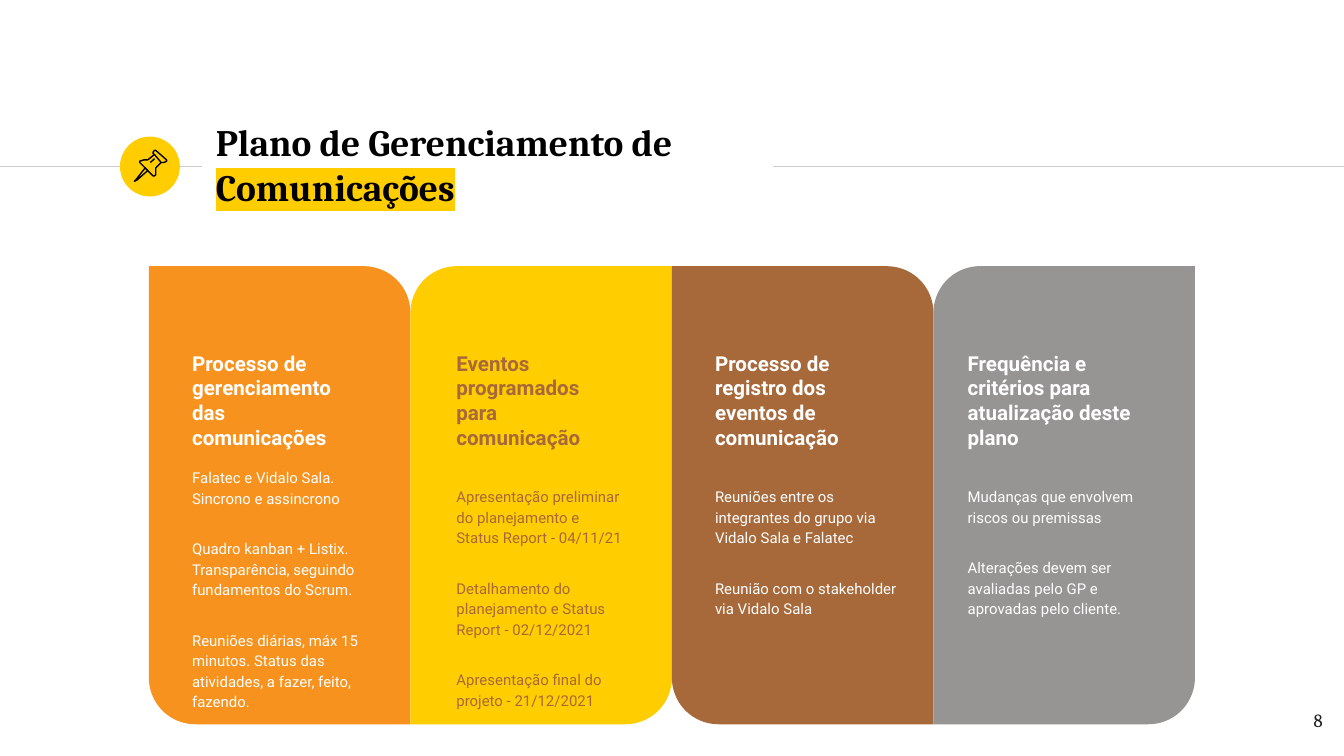
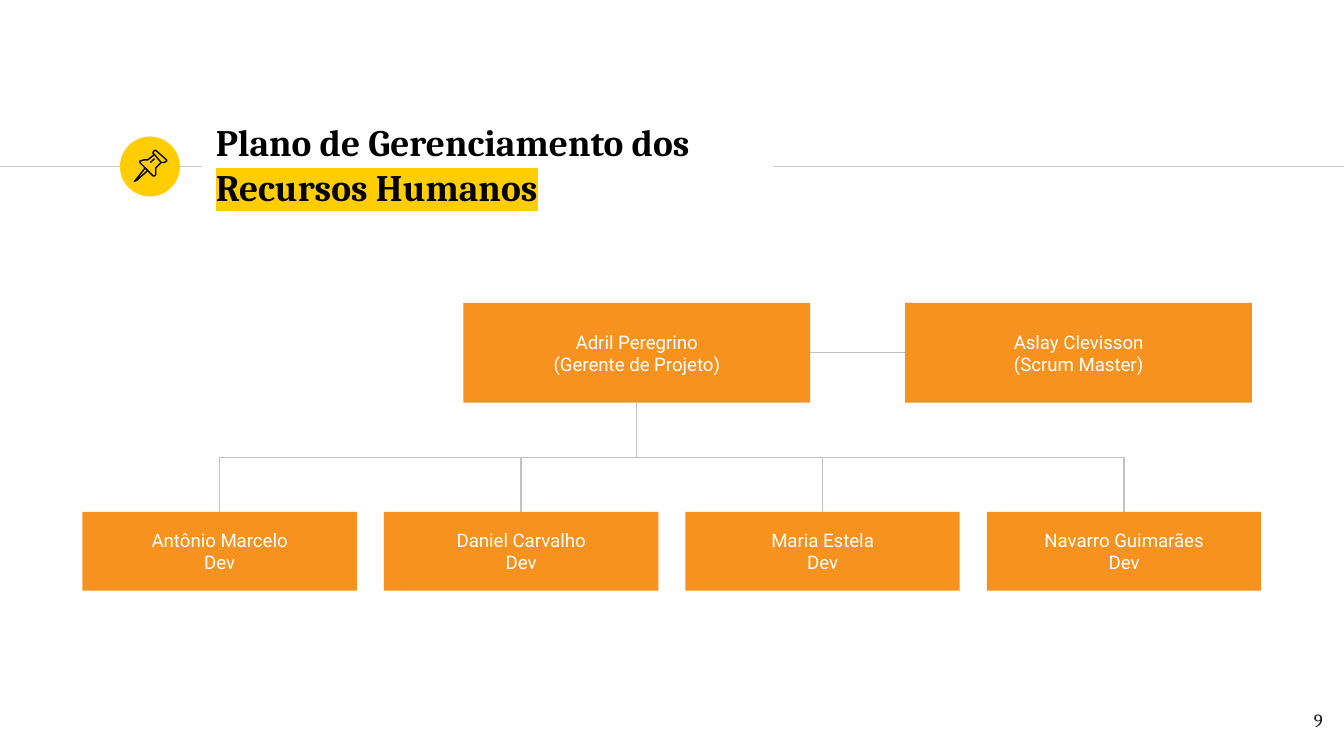
from typing import NamedTuple

from lxml import etree
from pptx import Presentation
from pptx.dml.color import RGBColor
from pptx.enum.shapes import MSO_CONNECTOR, MSO_SHAPE
from pptx.enum.text import MSO_ANCHOR, PP_ALIGN
from pptx.oxml.ns import qn
from pptx.util import Pt

ELLIPSE = MSO_SHAPE.OVAL
RECTANGLE = MSO_SHAPE.RECTANGLE
DIAGONAL_ROUND = MSO_SHAPE.ROUND_2_DIAG_RECTANGLE
STRAIGHT, ELBOW = MSO_CONNECTOR.STRAIGHT, MSO_CONNECTOR.ELBOW
LEFT, CENTER, RIGHT = PP_ALIGN.LEFT, PP_ALIGN.CENTER, PP_ALIGN.RIGHT
TOP, MIDDLE = MSO_ANCHOR.TOP, MSO_ANCHOR.MIDDLE

SERIF, SANS = "Cambria", "Roboto"
BLACK, INK, WHITE = "000000", "1D1D1B", "FFFFFF"
YELLOW, ORANGE, BROWN, GRAY = "FFCD00", "F6921D", "A7693A", "979593"
RULE_GRAY, LINK_GRAY = "CCCCCC", "C2C2C2"
INSET = 7.2


class Box(NamedTuple):
    left: float
    top: float
    width: float
    height: float

    @property
    def center(self):
        return self.left + self.width / 2

    @property
    def middle(self):
        return self.top + self.height / 2

    @property
    def right(self):
        return self.left + self.width

    @property
    def bottom(self):
        return self.top + self.height

    def points(self):
        return [Pt(length) for length in self]


SLIDE = Box(0, 0, 720, 405)
BADGE = Box(64.3, 73.2, 32.1, 32.1)
TITLE = Box(108.5, 70.6, 305.5, 34.6)
PAGE_NUMBER = Box(672.5, 373.7, 43.2, 31)
COLUMNS = Box(79.8, 142.6, 560.4, 245.4)
ORG_CHART = Box(44.2, 162.3, 631.5, 154.2)

# Pushpin outlines in tenths of a point, from the corner of the badge
PIN_PARTS = [
    ([(135, 168), (84, 233), (77, 240), (91, 233), (149, 182)], True),
    ([(185, 96), (221, 139), (235, 139), (250, 132), (250, 125), (192, 74),
      (185, 74), (178, 82), (178, 92)], True),
    ([(185, 96), (149, 125), (127, 125), (106, 132), (106, 139), (178, 211),
      (185, 211), (192, 204), (192, 168), (221, 139)], False),
    ([(163, 139), (185, 118)], False),
]


class Column(NamedTuple):
    fill: str
    color: str
    indent: float
    text_width: float
    body_top: float
    heading: str
    items: list


COMMUNICATION_COLUMNS = [
    Column(ORANGE, WHITE, 16, 104.4, 100, "Processo de gerenciamento das comunicações", [
        "Falatec e Vidalo Sala. Sincrono e assincrono",
        "Quadro kanban + Listix. Transparência, seguindo fundamentos do Scrum.",
        "Reuniões diárias, máx 15 minutos. Status das atividades, a fazer, feito, fazendo.",
    ]),
    Column(YELLOW, BROWN, 17.5, 104.4, 110.2, "Eventos programados para comunicação", [
        "Apresentação preliminar do planejamento e Status Report - 04/11/21",
        "Detalhamento do planejamento e Status Report - 02/12/2021",
        "Apresentação final do projeto - 21/12/2021",
    ]),
    Column(BROWN, WHITE, 16, 113, 110.2, "Processo de registro dos eventos de comunicação", [
        "Reuniões entre os integrantes do grupo via Vidalo Sala e Falatec",
        "Reunião com o stakeholder via Vidalo Sala",
    ]),
    Column(GRAY, WHITE, 11.2, 113, 110.2, "Frequência e critérios para atualização deste plano", [
        "Mudanças que envolvem riscos ou premissas",
        "Alterações devem ser avaliadas pelo GP e aprovadas pelo cliente.",
    ]),
]

LEADS = [["Adril Peregrino", "(Gerente de Projeto)"],
         ["Aslay Clevisson", "(Scrum Master)"]]
DEVELOPERS = ["Antônio Marcelo", "Daniel Carvalho", "Maria Estela", "Navarro Guimarães"]


def rgb(color):
    return RGBColor.from_string(color)


def set_line(shape, color):
    shape.line.color.rgb = rgb(color)
    shape.line.width = Pt(0.75)


def add_filled_shape(slide, kind, box, color):
    shape = slide.shapes.add_shape(kind, *box.points())
    shape.shadow.inherit = False
    shape.fill.solid()
    shape.fill.fore_color.rgb = rgb(color)
    shape.line.fill.background()
    return shape


def add_line(slide, kind, start, end, color):
    connector = slide.shapes.add_connector(kind, *(Pt(length) for length in start + end))
    set_line(connector, color)
    etree.SubElement(connector._element.spPr, qn("a:effectLst"))
    return connector


def write(shape, texts, size, color, font=SANS, bold=False, align=LEFT,
          anchor=TOP, line_spacing=None, gap=None):
    """Fill a shape with one paragraph per text, gap points apart."""
    frame = shape.text_frame
    frame.word_wrap = True
    frame.vertical_anchor = anchor
    frame.margin_left = frame.margin_right = Pt(INSET)
    frame.margin_top = frame.margin_bottom = Pt(INSET)
    for index, text in enumerate(texts):
        paragraph = frame.add_paragraph() if index else frame.paragraphs[0]
        paragraph.add_run().text = text
        paragraph.alignment = align
        if line_spacing:
            paragraph.line_spacing = line_spacing
        if index and gap:
            paragraph.space_before = Pt(gap)
        paragraph.font.name = font
        paragraph.font.size = Pt(size)
        paragraph.font.bold = bold
        paragraph.font.color.rgb = rgb(color)
    return frame


def add_text(slide, box, texts, size, color, **style):
    return write(slide.shapes.add_textbox(*box.points()), texts, size, color, **style)


def highlight(run, color):
    mark = etree.SubElement(run._r.get_or_add_rPr(), qn("a:highlight"))
    etree.SubElement(mark, qn("a:srgbClr")).set("val", color)


def add_badge(slide, box):
    add_filled_shape(slide, ELLIPSE, box, YELLOW)
    for outline, closed in PIN_PARTS:
        builder = slide.shapes.build_freeform(*outline[0], scale=Pt(0.1))
        builder.add_line_segments(outline[1:], close=closed)
        part = builder.convert_to_shape(Pt(box.left), Pt(box.top))
        part.shadow.inherit = False
        part.fill.background()
        set_line(part, BLACK)


def add_title(slide, box, lead, marked):
    frame = add_text(slide, box, [lead], 20, BLACK, font=SERIF, bold=True, anchor=MIDDLE)
    run = frame.paragraphs[0].add_run()
    run.text = marked
    highlight(run, YELLOW)


def add_base_slide(presentation, lead, marked, number):
    slide = presentation.slides.add_slide(presentation.slide_layouts[6])
    for start, end in [(SLIDE.left, TITLE.left), (TITLE.right, SLIDE.right)]:
        add_line(slide, STRAIGHT, (start, BADGE.middle), (end, BADGE.middle), RULE_GRAY)
    add_badge(slide, BADGE)
    add_title(slide, TITLE, lead, marked)
    add_text(slide, PAGE_NUMBER, [str(number)], 10, INK, font=SERIF, align=RIGHT)
    return slide


def add_column(slide, box, column, rounding):
    panel = add_filled_shape(slide, DIAGONAL_ROUND, box, column.fill)
    for index, amount in enumerate(rounding):
        panel.adjustments[index] = amount
    left = box.left + column.indent
    add_text(slide, Box(left, box.top + 38.1, column.text_width, 72),
             [column.heading], 11, column.color, bold=True)
    add_text(slide, Box(left, box.top + column.body_top, column.text_width, 80),
             column.items, 8, column.color, line_spacing=1.15, gap=16)


def add_columns(slide, box, columns):
    width = box.width / len(columns)
    for index, column in enumerate(columns):
        rounding = (0.178, 0) if index % 2 else (0, 0.178)
        place = Box(box.left + index * width, box.top, width, box.height)
        add_column(slide, place, column, rounding)


def add_person(slide, box, lines):
    shape = add_filled_shape(slide, RECTANGLE, box, ORANGE)
    write(shape, lines, 10, WHITE, align=CENTER, anchor=MIDDLE)


def add_branch(slide, child, parent):
    """Link the top of child to the bottom of parent by a turned elbow."""
    drop = child.top - parent.bottom
    run = abs(child.center - parent.center)
    center = (child.center + parent.center) / 2
    middle = (child.top + parent.bottom) / 2
    on_left = child.center < parent.center
    half = drop / 2 if on_left else -drop / 2
    connector = add_line(slide, ELBOW, (center - half, middle - run / 2),
                         (center + half, middle + run / 2), LINK_GRAY)
    degrees = 270 if on_left else 90
    connector._element.spPr.find(qn("a:xfrm")).set("rot", str(degrees * 60000))


def add_org_chart(slide, box, leads, developers):
    lead_boxes = [Box(box.left + 204 + index * 236.7, box.top, 185.8, 53.4)
                  for index in range(len(leads))]
    manager, master = lead_boxes
    width, height = 147, 42.3
    pitch = (box.width - width) / (len(developers) - 1)
    developer_boxes = [Box(box.left + index * pitch, box.bottom - height, width, height)
                       for index in range(len(developers))]
    add_line(slide, STRAIGHT, (manager.right, manager.middle),
             (master.left, master.middle), LINK_GRAY)
    for place in developer_boxes:
        add_branch(slide, place, manager)
    for place, lines in zip(lead_boxes, leads):
        add_person(slide, place, lines)
    for place, name in zip(developer_boxes, developers):
        add_person(slide, place, [name, "Dev"])


def main():
    presentation = Presentation()
    presentation.slide_width = Pt(SLIDE.width)
    presentation.slide_height = Pt(SLIDE.height)
    slide = add_base_slide(presentation, "Plano de Gerenciamento de ", "Comunicações", 8)
    add_columns(slide, COLUMNS, COMMUNICATION_COLUMNS)
    slide = add_base_slide(presentation, "Plano de Gerenciamento dos ", "Recursos Humanos", 9)
    add_org_chart(slide, ORG_CHART, LEADS, DEVELOPERS)
    presentation.save("out.pptx")


if __name__ == "__main__":
    main()
